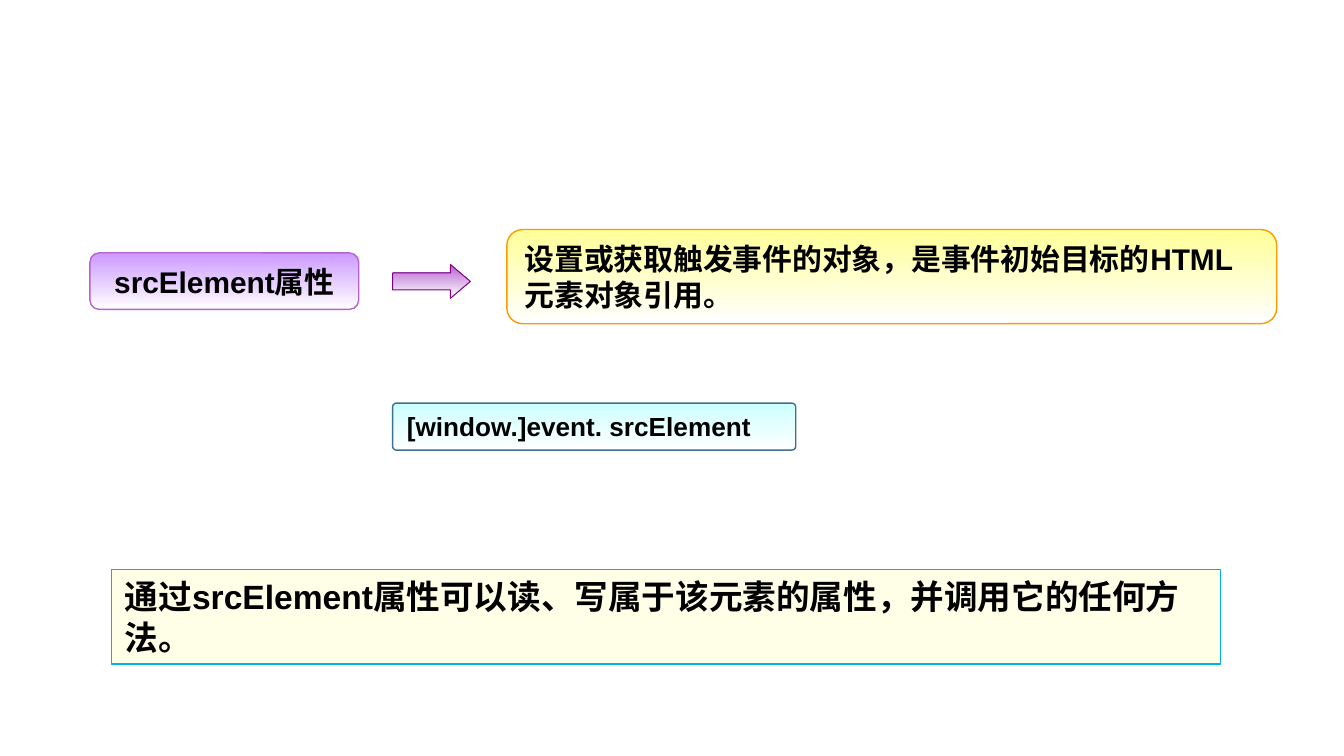
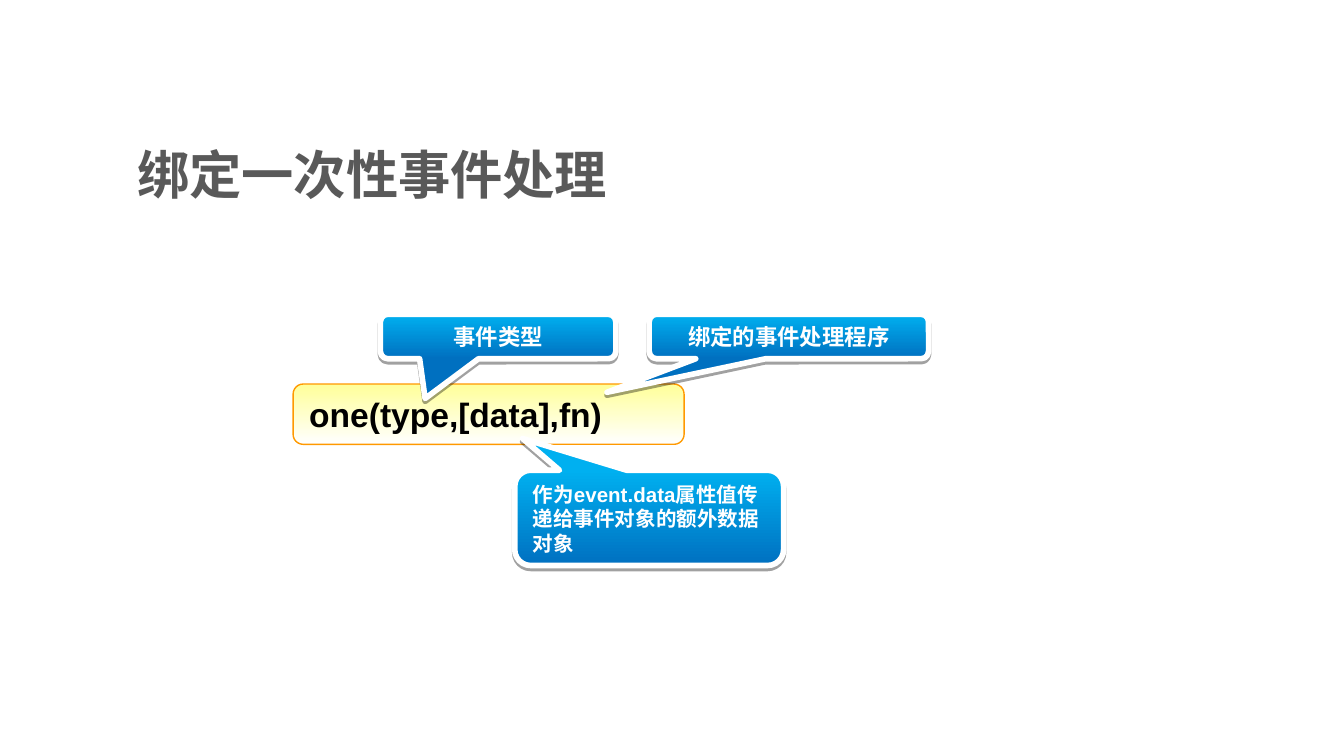
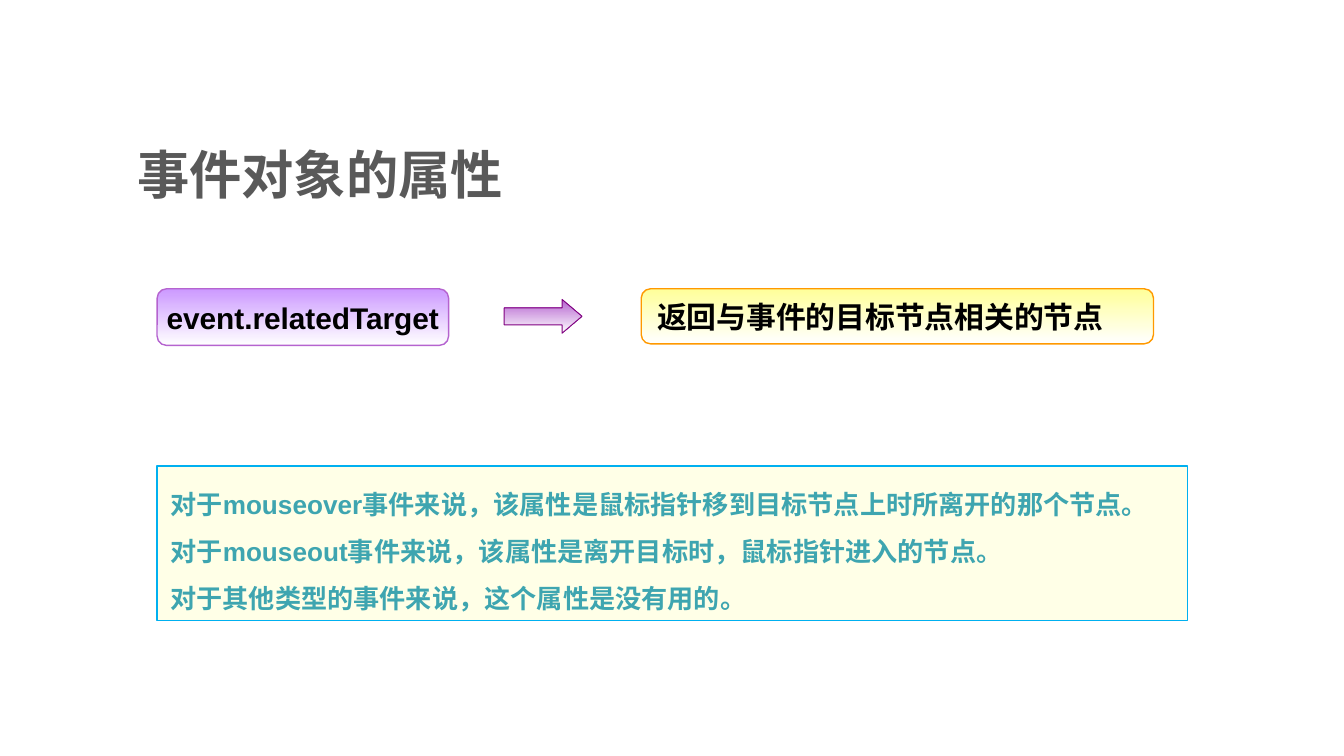
from lxml import etree
from pptx import Presentation
from pptx.dml.color import RGBColor
from pptx.enum.shapes import MSO_SHAPE
from pptx.enum.text import MSO_ANCHOR, MSO_AUTO_SIZE, PP_ALIGN
from pptx.oxml.ns import qn
from pptx.util import Cm, Pt

RECTANGLE = MSO_SHAPE.RECTANGLE
ROUNDED = MSO_SHAPE.ROUNDED_RECTANGLE
ARROW = MSO_SHAPE.RIGHT_ARROW
CALLOUT = MSO_SHAPE.ROUNDED_RECTANGULAR_CALLOUT
TOP, MIDDLE = MSO_ANCHOR.TOP, MSO_ANCHOR.MIDDLE
LEFT, CENTER = PP_ALIGN.LEFT, PP_ALIGN.CENTER
NO_FIT, GROW = MSO_AUTO_SIZE.NONE, MSO_AUTO_SIZE.SHAPE_TO_FIT_TEXT

TITLE_ONLY, BLANK = 5, 6
LATIN_FONT, CHINESE_FONT, SERIF_FONT = "Arial", "Noto Sans CJK SC", "Times New Roman"

COLORS = {
    "title": "595959",
    "text": "000000",
    "teal": "3EA5B0",
    "white": "FFFFFF",
    "lilac": "CC99FF",
    "violet": "B563CF",
    "purple": "800080",
    "yellow": "FFFF99",
    "orange": "FF9900",
    "aqua": "CCFFFF",
    "steel": "3F7091",
    "cream": "FFFFE7",
    "sky": "00B0F0",
    "blue": "0070C0",
}


class Deck:
    """Holds the shared style and the current slide."""

    def __init__(self):
        self.presentation = Presentation()
        self.presentation.slide_width = Cm(25.4)
        self.presentation.slide_height = Cm(14.29)
        self.slide = None

    def new_slide(self, title=None):
        layout = self.presentation.slide_layouts[TITLE_ONLY if title else BLANK]
        self.slide = self.presentation.slides.add_slide(layout)
        if title:
            shape = self.slide.shapes.title
            shape.left, shape.top = Cm(2.34), Cm(2.49)
            shape.width, shape.height = Cm(18.21), Cm(1.6)
            self.add_text(shape, [title], 28, "title", font=CHINESE_FONT, fit=NO_FIT)

    def add_text(self, shape, paragraphs, size, color="text", align=LEFT, anchor=MIDDLE,
                 fit=GROW, wrap=True, spacing=None, font=LATIN_FONT):
        """Each paragraph is a string or a list of (text, font) runs."""
        frame = shape.text_frame
        frame.word_wrap = wrap
        frame.auto_size = fit
        frame.vertical_anchor = anchor
        for index, content in enumerate(paragraphs):
            paragraph = frame.add_paragraph() if index else frame.paragraphs[0]
            paragraph.alignment = align
            if spacing:
                paragraph.line_spacing = spacing
            runs = [(content, font)] if isinstance(content, str) else content
            for text, run_font in runs:
                run = paragraph.add_run()
                run.text = text
                run.font.name = run_font
                run.font.size = Pt(size)
                run.font.bold = True
                run.font.color.rgb = RGBColor.from_string(COLORS[color])
                east_asian = etree.SubElement(run._r.get_or_add_rPr(), qn("a:ea"))
                east_asian.set("typeface", CHINESE_FONT)

    def panel(self, kind, box, fill, line, width=0.75, adjust=()):
        """Draw a shape; fill lists one colour, or two for a vertical gradient."""
        shape = self.slide.shapes.add_shape(kind, *map(Cm, box))
        shape.shadow.inherit = False
        for index, value in enumerate(adjust):
            shape.adjustments[index] = value
        colors = [RGBColor.from_string(COLORS[name]) for name in fill]
        if len(colors) == 1:
            shape.fill.solid()
            shape.fill.fore_color.rgb = colors[0]
        else:
            shape.fill.gradient()
            shape.fill.gradient_angle = 270
            for stop, color in zip(shape.fill.gradient_stops, colors):
                stop.color.rgb = color
        shape.line.color.rgb = RGBColor.from_string(COLORS[line])
        shape.line.width = Pt(width)
        return shape

    def tag(self, box, runs):
        shape = self.panel(ROUNDED, box, ["lilac", "white"], "violet", adjust=[0.167])
        self.add_text(shape, [runs], 16, align=CENTER, fit=NO_FIT, wrap=False)

    def description(self, box, text, size=16):
        shape = self.panel(ROUNDED, box, ["yellow", "white"], "orange", adjust=[0.167])
        self.add_text(shape, [text], size)

    def arrow(self, left, top):
        self.panel(ARROW, (left, top, 1.47, 0.64), ["violet", "white"], "purple", 0.5,
                   [0.5, 0.588])

    def syntax(self, box, text):
        shape = self.panel(ROUNDED, box, ["aqua", "white"], "steel", adjust=[0.081])
        self.add_text(shape, [text], 14, anchor=TOP)

    def note(self, box, paragraphs, size, color="text", spacing=None):
        shape = self.panel(RECTANGLE, box, ["cream"], "sky")
        self.add_text(shape, paragraphs, size, color, anchor=TOP, spacing=spacing)

    def callout(self, box, text, pointer, size=12, align=CENTER):
        shape = self.panel(CALLOUT, box, ["sky", "blue"], "white", 3, [*pointer, 0.167])
        self.add_shadow(shape)
        self.add_text(shape, [text], size, "white", align, TOP)

    def add_shadow(self, shape):
        effects = shape._element.spPr.find(qn("a:effectLst"))
        shadow = etree.SubElement(effects, qn("a:outerShdw"), blurRad="0",
                                  dist=str(Pt(1.6)), dir="5400000", rotWithShape="0")
        color = etree.SubElement(shadow, qn("a:srgbClr"), val=COLORS["text"])
        etree.SubElement(color, qn("a:alpha"), val="37000")


def main():
    deck = Deck()

    # srcElement property
    deck.new_slide()
    deck.tag((1.7, 4.78, 5.08, 1.07), [("srcElement", LATIN_FONT), ("属性", SERIF_FONT)])
    deck.description((9.58, 4.34, 14.55, 1.78),
                     "设置或获取触发事件的对象，是事件初始目标的HTML元素对象引用。")
    deck.arrow(7.42, 5)
    deck.syntax((7.42, 7.62, 7.62, 0.89), "[window.]event. srcElement")
    deck.note((2.11, 10.77, 20.96, 1.78),
              ["通过srcElement属性可以读、写属于该元素的属性，并调用它的任何方法。"], 18)

    # One-time event binding
    deck.new_slide("绑定一次性事件处理")
    deck.description((5.54, 7.26, 7.39, 1.14), "one(type,[data],fn)", 18)
    deck.callout((7.19, 5.94, 4.45, 0.84), "事件类型", (-0.31, 1.394))
    deck.callout((9.73, 8.89, 5.08, 1.8), "作为event.data属性值传递给事件对象的额外数据对象",
                 (-0.471, -0.833), 11, LEFT)
    deck.callout((12.27, 5.94, 5.28, 0.84), "绑定的事件处理程序", (-0.651, 1.254))

    # relatedTarget property
    deck.new_slide("事件对象的属性")
    deck.tag((2.97, 5.46, 5.51, 1.07), "event.relatedTarget")
    deck.description((12.12, 5.46, 9.68, 1.04), "返回与事件的目标节点相关的节点")
    deck.arrow(9.53, 5.66)
    deck.note((2.97, 8.81, 19.48, 2.92), [
        "对于mouseover事件来说，该属性是鼠标指针移到目标节点上时所离开的那个节点。",
        "对于mouseout事件来说，该属性是离开目标时，鼠标指针进入的节点。",
        "对于其他类型的事件来说，这个属性是没有用的。",
    ], 14, "teal", 1.5)

    deck.presentation.save("out.pptx")


if __name__ == "__main__":
    main()
